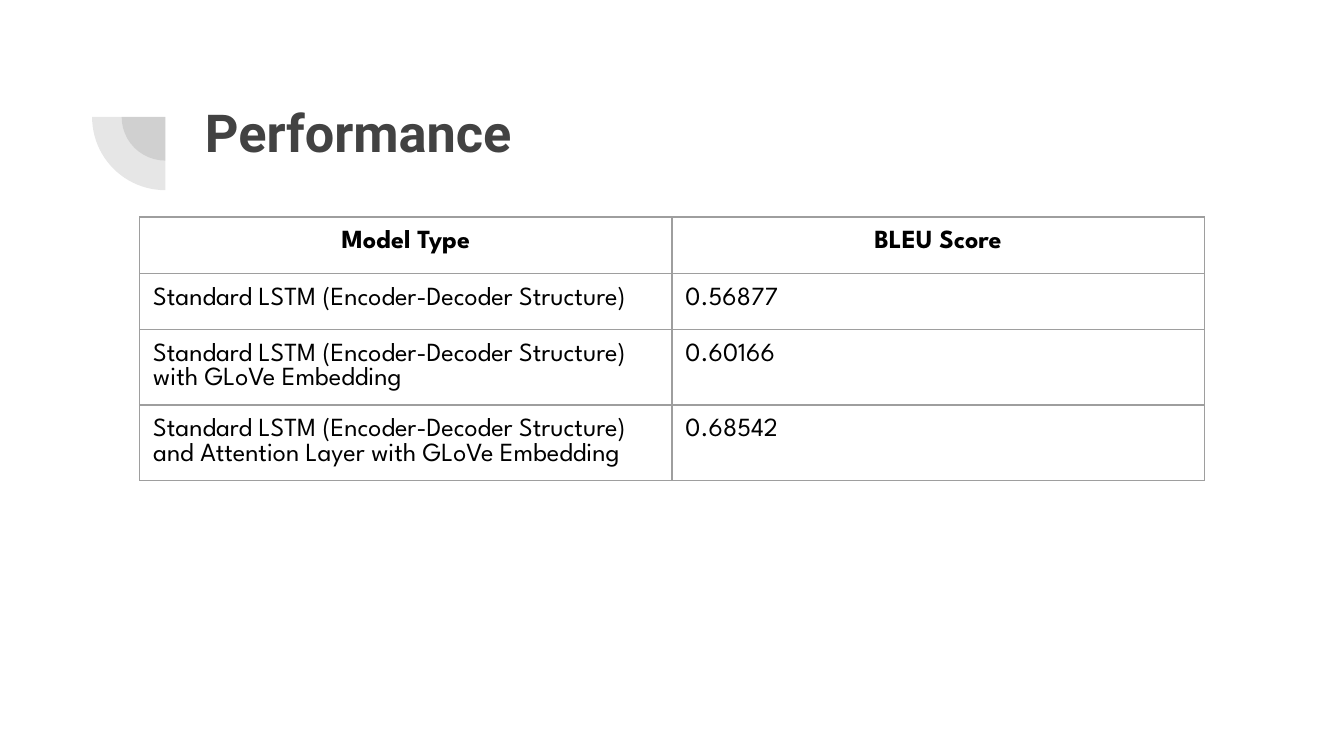
"""Build the model performance slide with its table of BLEU scores."""
from dataclasses import dataclass

from lxml.etree import SubElement as Sub
from pptx import Presentation
from pptx.dml.color import RGBColor as RGB
from pptx.enum.shapes import MSO_SHAPE as Form
from pptx.enum.text import MSO_ANCHOR as Anchor, MSO_AUTO_SIZE as Fit, PP_ALIGN as Align
from pptx.oxml.ns import qn
from pptx.util import Inches, Pt

WIDE = Inches(10)
HIGH = WIDE * 9 // 16
DARK = RGB(0x42, 0x42, 0x42)
BLACK = RGB(0, 0, 0)
GREY = RGB(0x9E, 0x9E, 0x9E)
PAD = Inches(0.1)
PADS = dict.fromkeys(("margin_left", "margin_right", "margin_top", "margin_bottom"), PAD)
MODEL = "Standard LSTM (Encoder-Decoder Structure)"
ROWS = (
    ("Model Type", "BLEU Score"),
    (MODEL, "0.56877"),
    (f"{MODEL} with GLoVe Embedding", "0.60166"),
    (f"{MODEL} and Attention Layer with GLoVe Embedding", "0.68542"),
)


@dataclass(frozen=True)
class Box:
    """Place and size as percent shares of the slide."""
    left: float
    top: float
    width: float
    height: float

    def place(self) -> tuple[int, ...]:
        """Return left, top, width and height as lengths."""
        return (int(self.left * WIDE / 100), int(self.top * HIGH / 100),
                int(self.width * WIDE / 100), int(self.height * HIGH / 100))


@dataclass(frozen=True)
class Pie:
    """Quarter disc given by its centre and size in inches."""
    x: float
    y: float
    size: float


PIES = (Pie(1.23, 0.87, 0.65), Pie(1.23, 0.87, 1.09))
TITLE = Box(14.25, 11.5, 76.9, 19.4)
GRID = Box(10.4, 28.7, 79.2, 29.87)


def apply(item: object, values: dict) -> None:
    """Set each named value on the item."""
    for name, value in values.items():
        setattr(item, name, value)


def style(para, face: str, size: int, bold: bool, hue: RGB, align: Align) -> None:
    """Format a paragraph and its runs."""
    para.alignment = align
    for run in para.runs:
        apply(run.font, {"name": face, "size": Pt(size), "bold": bold})
        run.font.color.rgb = hue


def draw_pie(slide, pie: Pie) -> None:
    """Draw one pale quarter disc."""
    half = pie.size / 2
    shape = slide.shapes.add_shape(Form.PIE, Inches(pie.x - half), Inches(pie.y - half),
                                   Inches(pie.size), Inches(pie.size))
    shape.adjustments[0], shape.adjustments[1] = 107.93, 162
    shape.rotation = 270
    shape.shadow.inherit = False
    shape.line.fill.background()
    shape.fill.solid()
    shape.fill.fore_color.rgb = DARK
    tint = next(shape.element.spPr.iter(qn("a:srgbClr")))
    Sub(tint, qn("a:alpha"), val="13000")


def draw_title(slide, text: str) -> None:
    """Place and format the slide title."""
    title = slide.shapes.title
    apply(title, dict(zip(("left", "top", "width", "height"), TITLE.place())))
    frame = title.text_frame
    frame.text = text
    apply(frame, PADS | {"vertical_anchor": Anchor.TOP, "auto_size": Fit.NONE,
                         "word_wrap": True})
    style(frame.paragraphs[0], "Roboto", 28, True, DARK, Align.LEFT)


def draw_edges(cell) -> None:
    """Give a cell thin grey borders."""
    props = cell._tc.get_or_add_tcPr()
    for side in "LRTB":
        line = Sub(props, qn(f"a:ln{side}"), w=str(Pt(0.75)))
        Sub(Sub(line, qn("a:solidFill")), qn("a:srgbClr"), val=str(GREY))


def draw_table(slide) -> None:
    """Draw the table of models and scores."""
    left, top, width, height = GRID.place()
    table = slide.shapes.add_table(len(ROWS), len(ROWS[0]), left, top, width, height).table
    apply(table, {"first_row": False, "horz_banding": False})
    for r, texts in enumerate(ROWS):
        table.rows[r].height = height // len(ROWS)
        head = r == 0
        for c, text in enumerate(texts):
            cell = table.cell(r, c)
            cell.text = text
            apply(cell, PADS)
            draw_edges(cell)
            cell.fill.background()
            style(cell.text_frame.paragraphs[0], "League Spartan", 14, head, BLACK,
                  Align.CENTER if head else Align.LEFT)


def main() -> None:
    """Build and save the deck."""
    deck = Presentation()
    apply(deck, {"slide_width": WIDE, "slide_height": HIGH})
    slide = deck.slides.add_slide(deck.slide_layouts[5])
    for pie in PIES:
        draw_pie(slide, pie)
    draw_title(slide, "Performance")
    draw_table(slide)
    deck.save("out.pptx")


if __name__ == "__main__":
    main()
